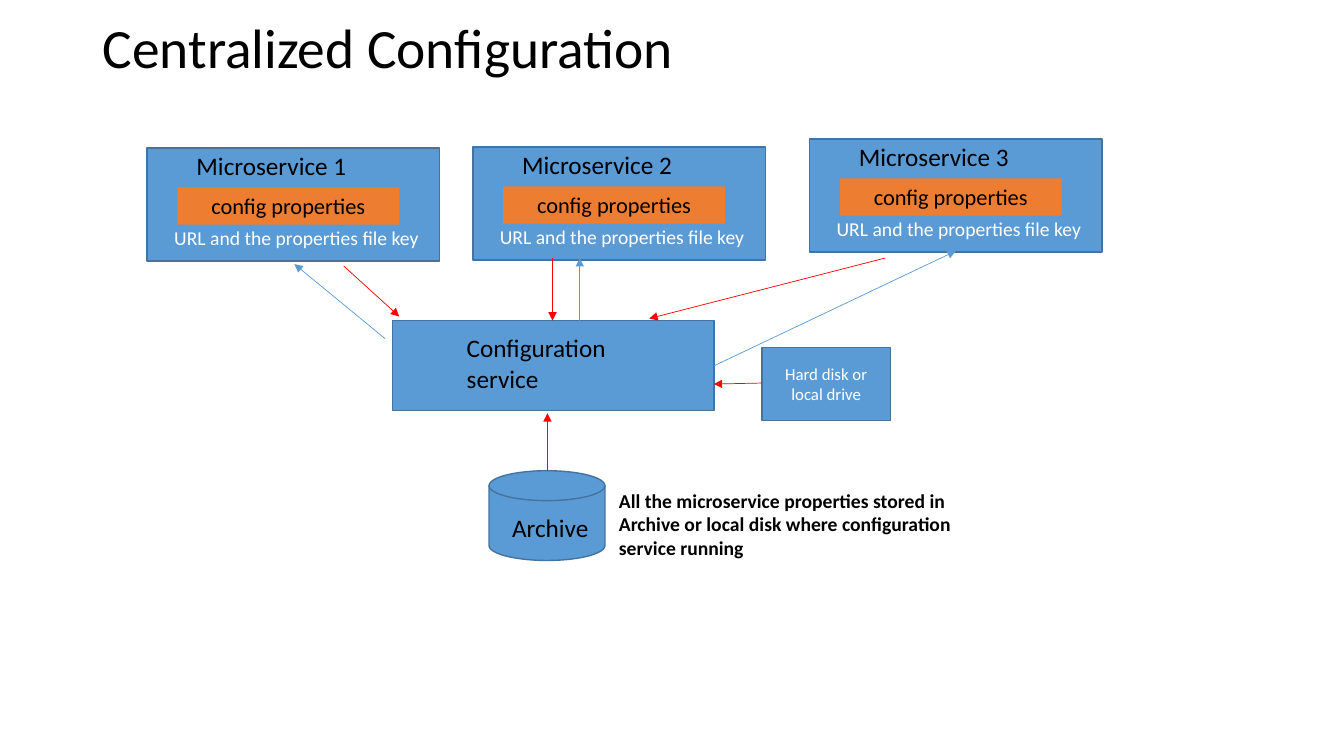
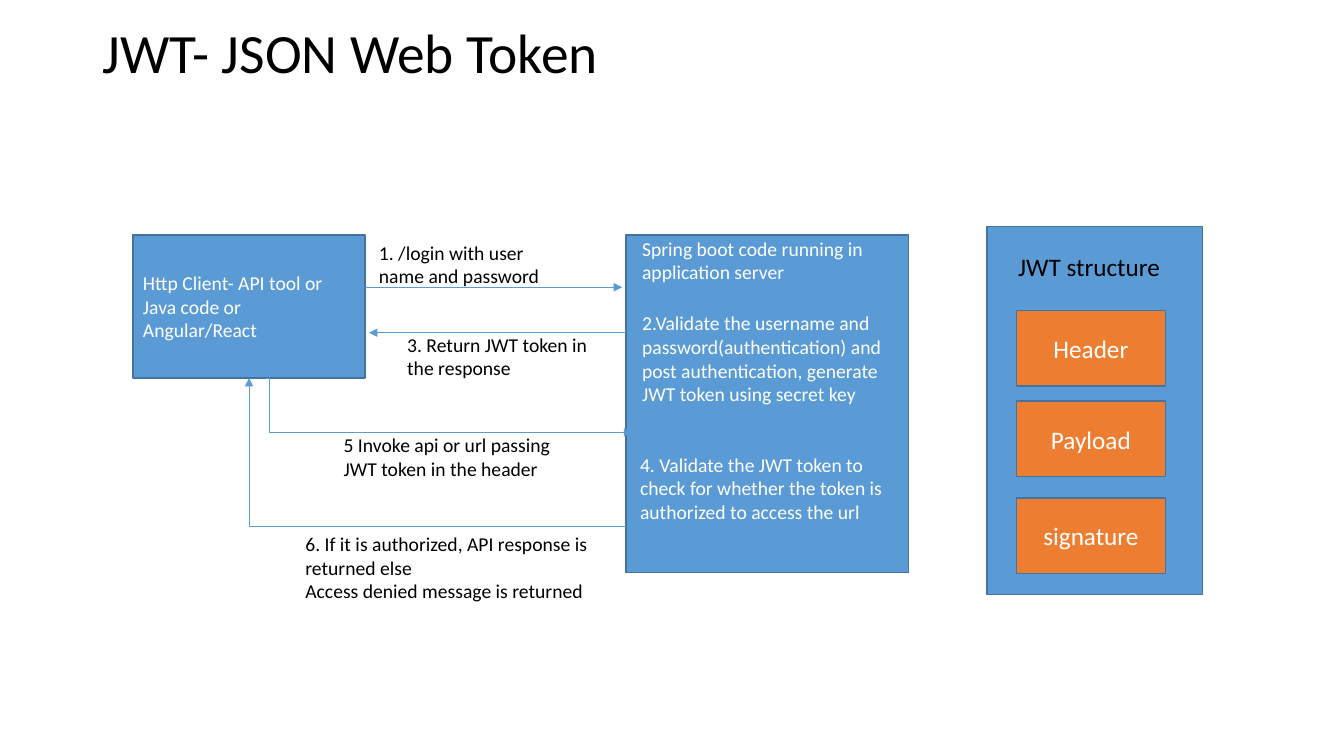
from dataclasses import dataclass

import pptx
import pptx.dml.color
import pptx.enum.shapes
import pptx.enum.text
import pptx.oxml.ns
import pptx.presentation
import pptx.shapes.connector
import pptx.slide
import pptx.text.text
import pptx.util
from lxml import etree

FONT = "Calibri"
BLACK, WHITE, RED = "000000", "FFFFFF", "FF0000"
BLUE, DARK_BLUE, ORANGE = "5B9BD5", "43739E", "ED7D31"

Inches = pptx.util.Inches
qn = pptx.oxml.ns.qn
ShapeKind = pptx.enum.shapes.MSO_SHAPE
ConnectorKind = pptx.enum.shapes.MSO_CONNECTOR
Align = pptx.enum.text.PP_ALIGN
Anchor = pptx.enum.text.MSO_ANCHOR
AutoSize = pptx.enum.text.MSO_AUTO_SIZE


@dataclass(frozen=True)
class Area:
    left: float
    top: float
    width: float
    height: float

    def lengths(self) -> tuple:
        return tuple(Inches(value) for value in (self.left, self.top, self.width, self.height))


@dataclass(frozen=True)
class Label:
    area: Area
    text: str
    size: float = 14
    color: str = BLACK
    bold: bool = False


@dataclass(frozen=True)
class Box:
    area: Area
    text: str = ""
    size: float = 14
    color: str = WHITE
    fill: str = BLUE
    outlined: bool = True
    align: Align = Align.CENTER
    anchor: Anchor = Anchor.MIDDLE
    kind: ShapeKind = ShapeKind.RECTANGLE


@dataclass(frozen=True)
class Arrow:
    start: tuple[float, float]
    end: tuple[float, float]
    color: str = BLUE


def rgb(color: str) -> pptx.dml.color.RGBColor:
    return pptx.dml.color.RGBColor.from_string(color)


def write_text(frame: pptx.text.text.TextFrame, text: str, size: float, color: str,
               align: Align = Align.LEFT, bold: bool = False) -> None:
    frame.text = text
    frame.word_wrap = True
    for paragraph in frame.paragraphs:
        paragraph.alignment = align
        paragraph.font.name = FONT
        paragraph.font.size = pptx.util.Pt(size)
        paragraph.font.bold = bold
        paragraph.font.color.rgb = rgb(color)


def add_label(page: pptx.slide.Slide, label: Label) -> None:
    frame = page.shapes.add_textbox(*label.area.lengths()).text_frame
    write_text(frame, label.text, label.size, label.color, bold=label.bold)
    frame.auto_size = AutoSize.SHAPE_TO_FIT_TEXT


def add_box(page: pptx.slide.Slide, box: Box) -> None:
    shape = page.shapes.add_shape(box.kind, *box.area.lengths())
    shape.shadow.inherit = False
    shape.fill.solid()
    shape.fill.fore_color.rgb = rgb(box.fill)
    if box.outlined:
        shape.line.color.rgb = rgb(DARK_BLUE)
        shape.line.width = pptx.util.Pt(1)
    else:
        shape.line.fill.background()
    if box.text:
        write_text(shape.text_frame, box.text, box.size, box.color, box.align)
        shape.text_frame.vertical_anchor = box.anchor


def add_arrow(page: pptx.slide.Slide, arrow: Arrow,
              kind: ConnectorKind = ConnectorKind.STRAIGHT) -> pptx.shapes.connector.Connector:
    points = (Inches(value) for value in (*arrow.start, *arrow.end))
    connector = page.shapes.add_connector(kind, *points)
    connector.line.color.rgb = rgb(arrow.color)
    connector.line.width = pptx.util.Pt(0.5)
    properties = connector.element.spPr
    etree.SubElement(properties.find(qn("a:ln")), qn("a:tailEnd"), type="triangle")
    etree.SubElement(properties, qn("a:effectLst"))
    return connector


def add_side_elbow(page: pptx.slide.Slide, arrow: Arrow, bend: int) -> None:
    """Draw an elbow that turns at bend, in 1/100000 of its width."""
    connector = add_arrow(page, arrow, ConnectorKind.ELBOW)
    geometry = connector.element.spPr.find(qn("a:prstGeom"))
    guides = geometry.find(qn("a:avLst"))
    if guides is None:
        guides = etree.SubElement(geometry, qn("a:avLst"))
    etree.SubElement(guides, qn("a:gd"), name="adj1", fmla=f"val {bend}")


def add_return_elbow(page: pptx.slide.Slide, arrow: Arrow) -> None:
    """Draw a one-corner elbow that runs left, then up."""
    half_turn = Arrow(arrow.end, arrow.start, arrow.color)
    properties = add_arrow(page, half_turn, ConnectorKind.ELBOW).element.spPr
    properties.find(qn("a:xfrm")).set("rot", "10800000")
    properties.find(qn("a:prstGeom")).set("prst", "bentConnector2")


def add_page(deck: pptx.presentation.Presentation, title: str, title_height: float) -> pptx.slide.Slide:
    page = deck.slides.add_slide(deck.slide_layouts.get_by_name("Title Only"))
    shape = page.shapes.title
    shape.left, shape.top, shape.width, shape.height = Area(0.92, 0.4, 11.5, title_height).lengths()
    write_text(shape.text_frame, title, 39.6, BLACK)
    shape.text_frame.auto_size = AutoSize.NONE
    shape.text_frame.vertical_anchor = Anchor.MIDDLE
    shape.text_frame.paragraphs[0].line_spacing = 0.9
    return page


def add_microservice(page: pptx.slide.Slide, number: int, left: float, top: float) -> None:
    add_box(page, Box(Area(left, top, 2.9, 1.12)))
    add_label(page, Label(Area(left + 0.39, top - 0.03, 1.81, 0.4), f"Microservice {number}", 18))
    add_box(page, Box(Area(left + 0.3, top + 0.39, 2.2, 0.37), "config properties", 16, BLACK,
                      ORANGE, outlined=False, anchor=Anchor.TOP))
    add_label(page, Label(Area(left + 0.17, top + 0.72, 2.93, 0.34),
                          "URL and the properties file key", color=WHITE))


def build_configuration_page(deck: pptx.presentation.Presentation) -> None:
    page = add_page(deck, "Centralized Configuration", 0.21)
    for number, (left, top) in enumerate([(1.46, 1.47), (4.69, 1.46), (8.03, 1.38)], start=1):
        add_microservice(page, number, left, top)

    boxes = [
        Box(Area(3.89, 3.18, 3.19, 0.89)),
        Box(Area(4.85, 4.67, 1.15, 0.89), kind=ShapeKind.FLOWCHART_MAGNETIC_DISK),
        Box(Area(7.56, 3.45, 1.27, 0.72), "Hard disk or local drive", 12),
    ]
    for box in boxes:
        add_box(page, box)

    labels = [
        Label(Area(4.53, 3.25, 1.81, 0.71), "Configuration service", 18),
        Label(Area(4.98, 5.03, 1.31, 0.4), "Archive", 18),
        Label(Area(6.04, 4.8, 3.94, 0.81),
              "All the microservice properties stored in Archive or local disk "
              "where configuration service running", bold=True),
    ]
    for label in labels:
        add_label(page, label)

    arrows = [
        Arrow((3.41, 2.64), (3.96, 3.14), RED),
        Arrow((5.48, 2.56), (5.48, 3.18), RED),
        Arrow((8.78, 2.56), (6.44, 3.16), RED),
        Arrow((5.43, 4.67), (5.43, 4.1), RED),
        Arrow((7.56, 3.8), (7.08, 3.81), RED),
        Arrow((3.82, 3.36), (2.92, 2.62)),
        Arrow((5.75, 3.18), (5.75, 2.56)),
        Arrow((7.08, 3.63), (9.48, 2.49)),
    ]
    for arrow in arrows:
        add_arrow(page, arrow)


def build_token_page(deck: pptx.presentation.Presentation) -> None:
    page = add_page(deck, "JWT- JSON Web Token", 0.3)
    boxes = [
        Box(Area(1.32, 2.33, 2.3, 1.42), "Http Client- API tool or Java code or Angular/React",
            align=Align.LEFT),
        Box(Area(6.21, 2.33, 2.8, 3.35)),
        Box(Area(9.79, 2.25, 2.14, 3.65)),
    ]
    token_parts = [("Header", 3.08), ("Payload", 3.98), ("signature", 4.94)]
    boxes += [Box(Area(10.08, top, 1.48, 0.75), text, 18, fill=ORANGE) for text, top in token_parts]
    for box in boxes:
        add_box(page, box)

    add_arrow(page, Arrow((3.62, 2.85), (6.17, 2.85)))
    add_arrow(page, Arrow((6.21, 3.3), (3.66, 3.3)))
    add_side_elbow(page, Arrow((2.64, 3.75), (6.27, 4.29)), bend=800)
    add_return_elbow(page, Arrow((6.21, 5.22), (2.47, 3.75)))

    labels = [
        Label(Area(3.66, 2.34, 2.09, 0.57), "1. /login with user name and password"),
        Label(Area(6.27, 2.3, 3.14, 0.57), "Spring boot code running in application server",
              color=WHITE),
        Label(Area(6.27, 3.04, 2.6, 1.04),
              "2.Validate the username and password(authentication) and post authentication, "
              "generate JWT token using secret key", color=WHITE),
        Label(Area(3.94, 3.25, 2.16, 0.57), "3. Return JWT token in the response"),
        Label(Area(6.25, 4.44, 2.77, 0.81),
              "4. Validate the JWT token to check for whether the token is authorized "
              "to access the url", color=WHITE),
        Label(Area(3.31, 4.25, 2.53, 0.57), "5 Invoke api or url passing JWT token in the header"),
        Label(Area(2.93, 5.23, 3.29, 0.81),
              "6. If it is authorized, API response is returned else\n"
              "Access denied message is returned"),
        Label(Area(10, 2.44, 2.01, 0.4), "JWT structure", 18),
    ]
    for label in labels:
        add_label(page, label)


def main() -> None:
    deck = pptx.Presentation()
    deck.slide_width, deck.slide_height = Inches(13.33), Inches(7.5)
    build_configuration_page(deck)
    build_token_page(deck)
    deck.save("out.pptx")


if __name__ == "__main__":
    main()
